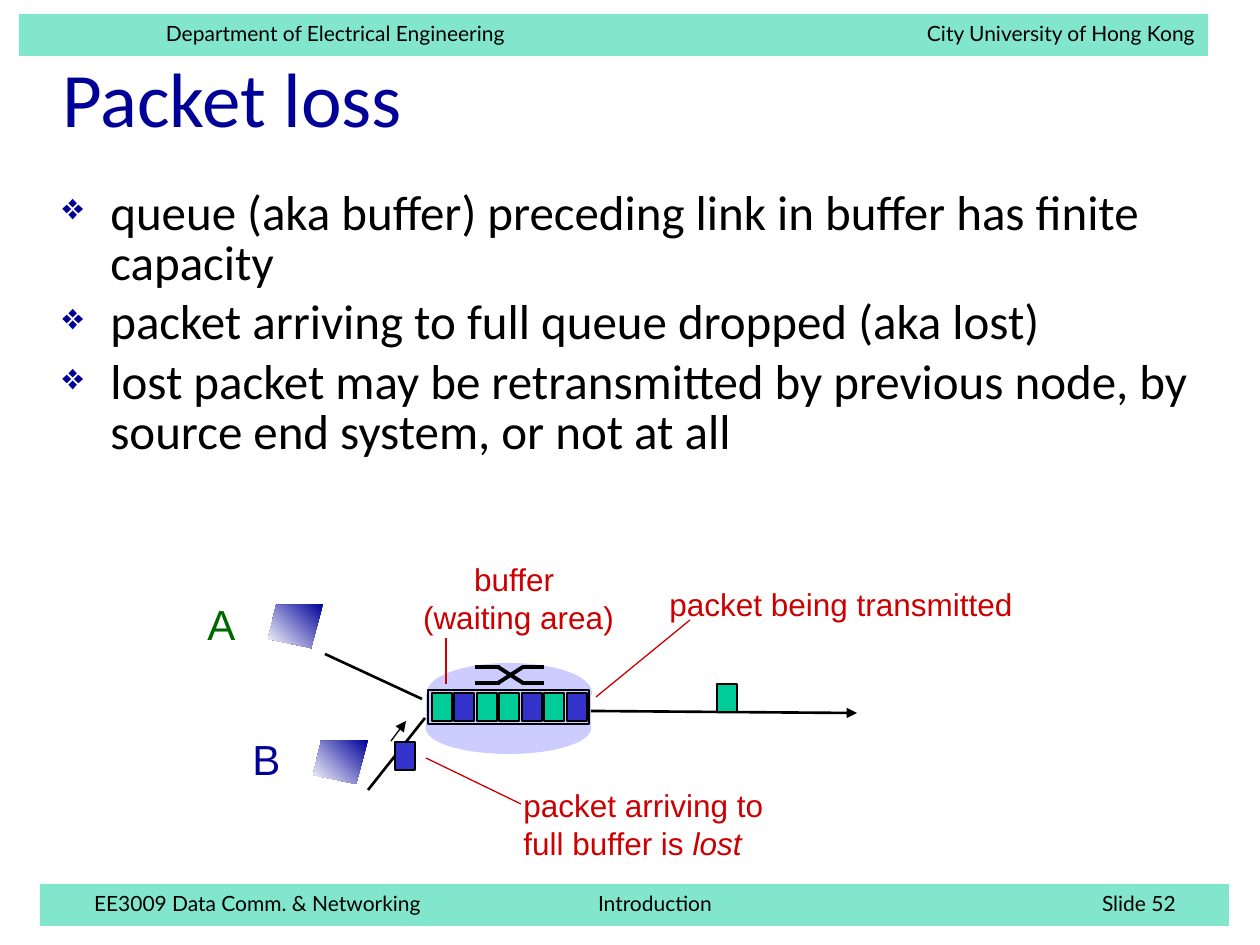
from lxml.etree import SubElement
from pptx import Presentation
from pptx.dml.color import RGBColor
from pptx.enum.shapes import MSO_CONNECTOR, MSO_SHAPE
from pptx.enum.text import MSO_ANCHOR, MSO_AUTO_SIZE, PP_ALIGN
from pptx.oxml.ns import qn
from pptx.util import Pt

SCALE = 914400 / 126
BLACK, NAVY, RED, GREEN, BLUE, LILAC = "000000", "000099", "CC0000", "00CC99", "3333CC", "CCCCFF"

BARS = [
    ((40, 884, 1189, 42), 54, (504, 1008), "EE3009 Data Comm. & Networking\tIntroduction\tSlide 52"),
    ((19, 14, 1189, 42), 147, (761,), "Department of Electrical Engineering\tCity University of Hong Kong"),
]
TITLE = "Packet loss"
BULLETS = [
    "queue (aka buffer) preceding link in buffer has finite capacity",
    "packet arriving to full queue dropped (aka lost)",
    "lost packet may be retransmitted by previous node, by source end system, or not at all",
]
ROUTER = [
    (MSO_SHAPE.OVAL, (426, 703, 165, 51)),
    (MSO_SHAPE.RECTANGLE, (426, 694, 165, 37)),
    (MSO_SHAPE.OVAL, (427, 663, 165, 59)),
]
CROSSING = [(667, 683), (683, 667)]
LINKS = [
    ((325, 654), (422, 699), 1.5, BLACK, False),
    ((368, 790), (425, 718), 1.5, BLACK, False),
    ((591, 711), (857, 713), 1.5, BLACK, True),
    ((391, 741), (406, 721), 0.75, BLACK, True),
    ((690, 620), (596, 697), 0.75, RED, False),
    ((521, 804), (426, 758), 0.75, RED, False),
    ((446, 638), (446, 684), 0.75, RED, False),
]
QUEUE = [GREEN, BLUE, GREEN, GREEN, BLUE, GREEN, BLUE]
LOOSE_PACKETS = [((717, 684), GREEN), ((395, 742), BLUE)]
LABELS = [
    ((195, 592, 53, 63), 24, "006600", PP_ALIGN.LEFT, [["A"]]),
    ((240, 727, 53, 63), 24, NAVY, PP_ALIGN.LEFT, [["B"]]),
    ((657, 579, 368, 50), 18, RED, PP_ALIGN.LEFT, [["packet being transmitted"]]),
    ((511, 780, 265, 88), 18, RED, PP_ALIGN.LEFT, [["packet arriving to"], ["full buffer is ", "lost"]]),
    ((410, 554, 217, 88), 18, RED, PP_ALIGN.CENTER, [["buffer "], ["(waiting area)"]]),
]
HOST = [(323, 604), (276, 605), (268, 639), (311, 648)]
HOST_SHIFTS = [(0, 0), (45, 136)]


def px(value):
    return round(value * SCALE)


def color(text):
    return RGBColor.from_string(text)


def apply(target, values):
    for name, value in values.items():
        setattr(target, name, value)


def add_span(para, text, size, font, fill, italic=None):
    span = para.add_run()
    span.text = text
    apply(span.font, {"size": Pt(size), "name": font, "italic": italic})
    span.font.color.rgb = color(fill)


def add_text(page, place, **frame_values):
    frame = page.shapes.add_textbox(*map(px, place)).text_frame
    apply(frame, {"word_wrap": True, **frame_values})
    return frame


def add_box(page, kind, place, fill=None, line=None):
    box = page.shapes.add_shape(kind, *map(px, place))
    box.shadow.inherit = False
    if fill:
        box.fill.solid()
        box.fill.fore_color.rgb = color(fill)
    else:
        box.fill.background()
    if line:
        box.line.color.rgb = color(line)
        box.line.width = Pt(0.75)
    else:
        box.line.fill.background()
    return box


def add_packet(page, left, top, fill):
    add_box(page, MSO_SHAPE.RECTANGLE, (left, top, 20, 28), fill, BLACK)


def add_line(page, start, end, width, stroke, arrow=False):
    line = page.shapes.add_connector(MSO_CONNECTOR.STRAIGHT, *map(px, start + end))
    line.line.color.rgb = color(stroke)
    line.line.width = Pt(width)
    if arrow:
        SubElement(line.line._get_or_add_ln(), qn("a:tailEnd"), type="triangle")
    SubElement(line._element.spPr, qn("a:effectLst"))


def add_bar(page, place, inset, stops, text):
    bar = add_box(page, MSO_SHAPE.RECTANGLE, place, GREEN)
    fill = bar._element.spPr.find(qn("a:solidFill"))
    SubElement(fill[0], qn("a:alpha"), val="49000")
    apply(bar.text_frame, {"margin_left": px(inset), "vertical_anchor": MSO_ANCHOR.TOP})
    para = bar.text_frame.paragraphs[0]
    para.alignment = PP_ALIGN.LEFT
    tabs = SubElement(para._p.get_or_add_pPr(), qn("a:tabLst"))
    for stop in stops:
        SubElement(tabs, qn("a:tab"), pos=str(px(stop)), algn="l")
    add_span(para, text, 12, "Lato", BLACK)


def add_bullets(page):
    frame = add_text(page, (50, 184, 1157, 640))
    for index, text in enumerate(BULLETS):
        para = frame.add_paragraph() if index else frame.paragraphs[0]
        props = para._p.get_or_add_pPr()
        props.set("marL", str(px(48)))
        props.set("indent", str(px(-48)))
        tint = SubElement(props, qn("a:buClr"))
        SubElement(tint, qn("a:srgbClr"), val=NAVY)
        SubElement(props, qn("a:buSzPct"), val="75000")
        SubElement(props, qn("a:buChar"), char="❖")
        apply(para, {"line_spacing": 0.85, "space_before": Pt(5.6 if index else 0)})
        add_span(para, text, 28, "Calibri", BLACK)


def add_label(page, place, size, fill, align, lines):
    frame = add_text(page, place, word_wrap=False, auto_size=MSO_AUTO_SIZE.SHAPE_TO_FIT_TEXT)
    for index, spans in enumerate(lines):
        para = frame.add_paragraph() if index else frame.paragraphs[0]
        para.alignment = align
        for text in spans:
            add_span(para, text, size, "Arial", fill, text == "lost")


def add_host(page, shift):
    points = [(x + shift[0], y + shift[1]) for x, y in HOST]
    builder = page.shapes.build_freeform(*points[0], scale=SCALE)
    builder.add_line_segments(points[1:], close=True)
    host = builder.convert_to_shape()
    host.shadow.inherit = False
    host.line.fill.background()
    host.fill.gradient()
    host.fill.gradient_angle = 225
    for stop, tint, position in zip(host.fill.gradient_stops, (NAVY, "FFFFFF"), (0, 1)):
        stop.color.rgb = color(tint)
        stop.position = position


def main():
    deck = Presentation()
    apply(deck, {"slide_width": px(1260), "slide_height": px(945)})
    page = deck.slides.add_slide(deck.slide_layouts[6])
    for bar in BARS:
        add_bar(page, *bar)
    title = add_text(page, (50, 18, 1071, 157), vertical_anchor=MSO_ANCHOR.MIDDLE)
    add_span(title.paragraphs[0], TITLE, 44, "Calibri", NAVY)
    add_bullets(page)
    for kind, place in ROUTER:
        add_box(page, kind, place, LILAC)
    for start, end in CROSSING:
        add_line(page, (475, start), (500, start), 2.25, BLACK)
        add_line(page, (498, start), (523, end), 2.25, BLACK)
        add_line(page, (522, end), (544, end), 2.25, BLACK)
    for link in LINKS:
        add_line(page, *link)
    for index, fill in enumerate(QUEUE):
        add_packet(page, 432 + index * 45 // 2, 693, fill)
    for place, fill in LOOSE_PACKETS:
        add_packet(page, *place, fill)
    add_box(page, MSO_SHAPE.RECTANGLE, (428, 690, 161, 34), line=BLACK)
    for label in LABELS:
        add_label(page, *label)
    for shift in HOST_SHIFTS:
        add_host(page, shift)
    deck.save("out.pptx")


if __name__ == "__main__":
    main()
